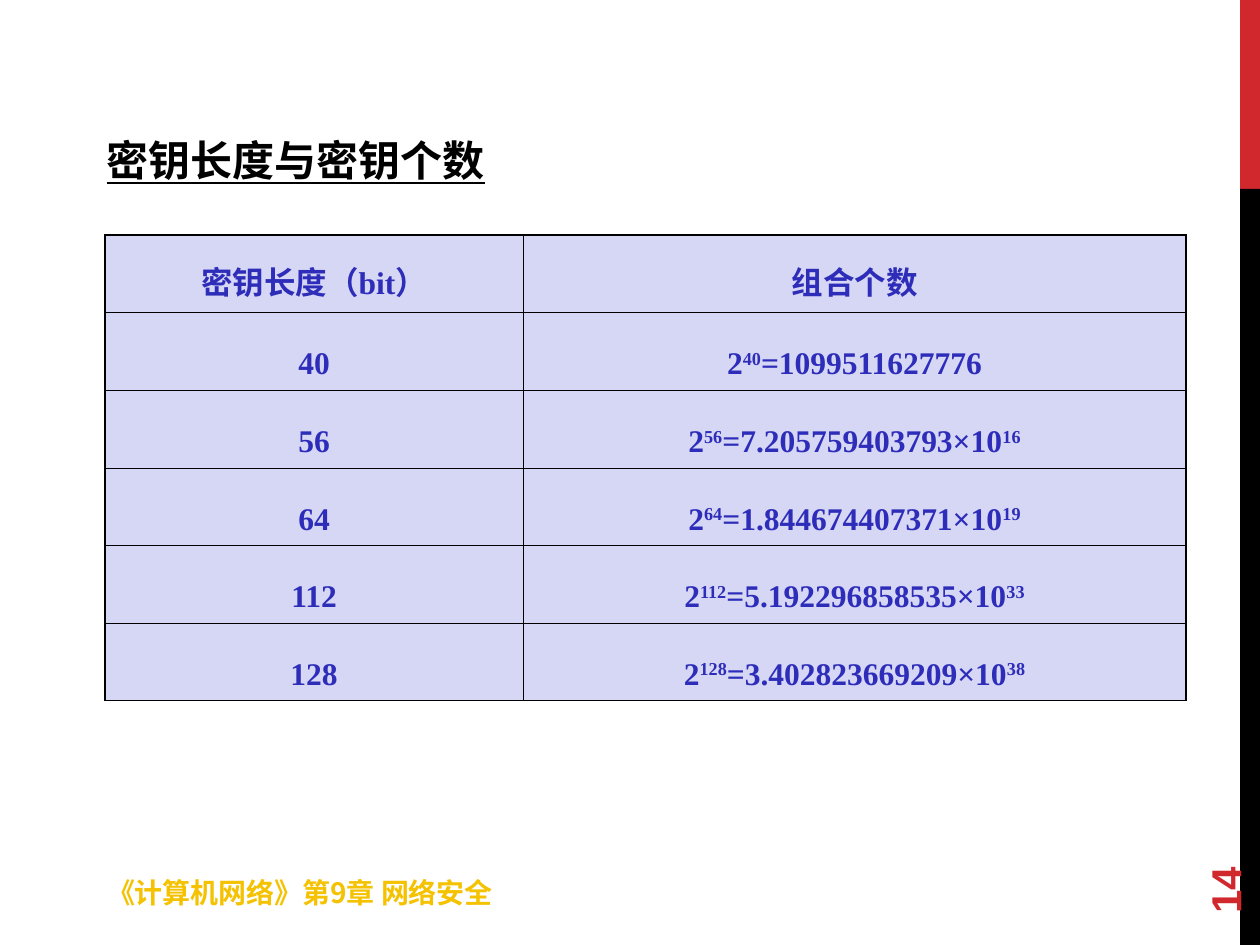
import pptx
import pptx.dml.color
import pptx.enum.shapes
import pptx.enum.text
import pptx.oxml.ns
import pptx.util
from lxml import etree

EMU_PER_PX = 914400 / 126
COLORS = {
    "red": "D1282E",
    "black": "000000",
    "gold": "F5C201",
    "blue": "2D2DB9",
    "lavender": "D6D6F5",
}
CJK_FONT = "Noto Sans CJK JP"
OUTER_LINE, INNER_LINE = 0.75, 0.45

# Each cell alternates normal text and superscript
KEY_TABLE = [
    [["密钥长度（bit）"], ["组合个数"]],
    [["40"], ["2", "40", "=1099511627776"]],
    [["56"], ["2", "56", "=7.205759403793×10", "16"]],
    [["64"], ["2", "64", "=1.844674407371×10", "19"]],
    [["112"], ["2", "112", "=5.192296858535×10", "33"]],
    [["128"], ["2", "128", "=3.402823669209×10", "38"]],
]


def px(length):
    return pptx.util.Emu(round(length * EMU_PER_PX))


def rgb(name):
    return pptx.dml.color.RGBColor.from_string(COLORS[name])


def set_font(para, size, font_name, color):
    font = para.font
    font.size = pptx.util.Pt(size)
    font.bold = True
    font.color.rgb = rgb(color)
    font.name = font_name
    east_asian = etree.SubElement(font._element, pptx.oxml.ns.qn("a:ea"))
    east_asian.set("typeface", CJK_FONT)


def set_margins(holder, across, down):
    holder.margin_left = holder.margin_right = px(across)
    holder.margin_top = holder.margin_bottom = px(down)


def add_bar(page, top, height, color):
    bar = page.shapes.add_shape(
        pptx.enum.shapes.MSO_SHAPE.RECTANGLE, px(1240), px(top), px(20), px(height))
    bar.shadow.inherit = False
    bar.fill.solid()
    bar.fill.fore_color.rgb = rgb(color)
    bar.line.fill.background()


def add_text(page, bounds, text, size, font_name, color, margins=(13, 6)):
    box = page.shapes.add_textbox(*map(px, bounds))
    frame = box.text_frame
    frame.word_wrap = True
    set_margins(frame, *margins)
    para = frame.paragraphs[0]
    para.text = text
    set_font(para, size, font_name, color)
    return box


def add_border(cell, side, width):
    line = etree.SubElement(
        cell._tc.get_or_add_tcPr(), pptx.oxml.ns.qn("a:ln" + side),
        w=str(pptx.util.Pt(width)))
    fill = etree.SubElement(line, pptx.oxml.ns.qn("a:solidFill"))
    etree.SubElement(fill, pptx.oxml.ns.qn("a:srgbClr"), val=COLORS["black"])


def fill_cell(cell, parts):
    set_margins(cell, 10, 6)
    cell.margin_top = px(48)
    cell.fill.solid()
    cell.fill.fore_color.rgb = rgb("lavender")
    para = cell.text_frame.paragraphs[0]
    para.alignment = pptx.enum.text.PP_ALIGN.CENTER
    para.line_spacing = pptx.util.Pt(12)
    set_font(para, 18, "Times New Roman", "blue")
    for index, part in enumerate(parts):
        span = para.add_run()
        span.text = part
        if index % 2:
            span.font._element.set("baseline", "30000")


def add_key_table(page, left, top, widths, height):
    rows, columns = len(KEY_TABLE), len(widths)
    table = page.shapes.add_table(
        rows, columns, px(left), px(top), px(sum(widths)), px(height)).table
    for column, width in zip(table.columns, widths):
        column.width = px(width)
    for r, row in enumerate(KEY_TABLE):
        table.rows[r].height = px(height / rows)
        for c, parts in enumerate(row):
            cell = table.cell(r, c)
            on_edge = {"L": c == 0, "R": c == columns - 1,
                       "T": r == 0, "B": r == rows - 1}
            for side, outer in on_edge.items():
                add_border(cell, side, OUTER_LINE if outer else INNER_LINE)
            fill_cell(cell, parts)


def main():
    deck = pptx.Presentation()
    deck.slide_width, deck.slide_height = px(1260), px(945)
    page = deck.slides.add_slide(deck.slide_layouts[6])

    # Side bars
    add_bar(page, 0, 189, "red")
    add_bar(page, 189, 756, "black")

    # Title
    title = add_text(page, (107, 135, 1058, 62), "密钥长度与密钥个数",
                     24, CJK_FONT, "black", margins=(0, 0))
    title.text_frame.paragraphs[0].font.underline = True

    # Footer and page number
    add_text(page, (94, 870, 735, 53), "《计算机网络》第9章 网络安全",
             16, CJK_FONT, "gold")
    number = add_text(page, (1134, 811, 181, 50), "14", 24, "Arial", "red")
    number.rotation = 270
    number.text_frame.vertical_anchor = pptx.enum.text.MSO_ANCHOR.MIDDLE

    # Key lengths and combinations
    add_key_table(page, 105, 235, [418, 663], 466)

    deck.save("out.pptx")


if __name__ == "__main__":
    main()
